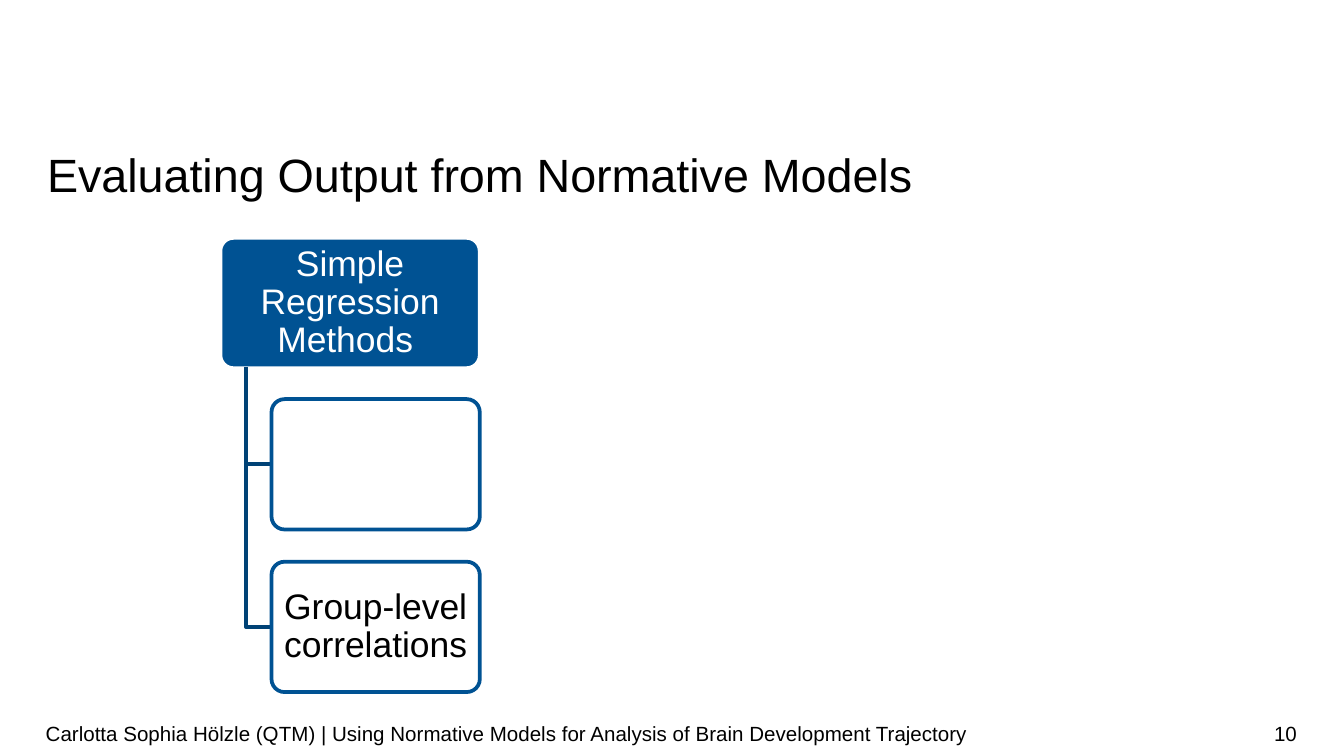
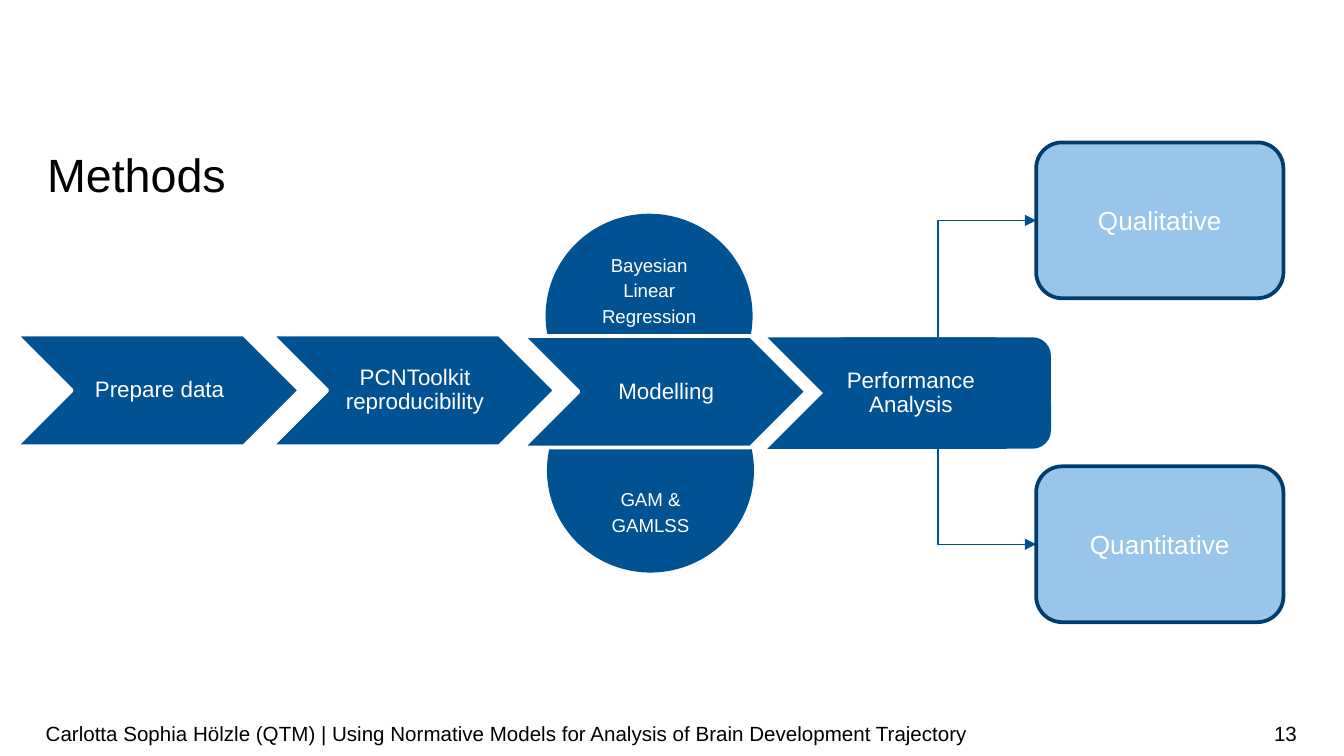
from pptx import Presentation
from pptx import util as u
from pptx.dml.color import RGBColor
from pptx.enum import shapes, text
from pptx.oxml import ns
from lxml import etree

BLUE, NAVY, EDGE, WIRE, SKY = "005293", "004276", "003D6D", "005090", "98C6EA"
WHITE, BLACK = "FFFFFF", "000000"
FONT = "Arial"
CREDIT = ("Carlotta Sophia Hölzle (QTM) | Using Normative Models "
          "for Analysis of Brain Development Trajectory")
KIND = shapes.MSO_SHAPE
LEFT, MID, RIGHT = text.PP_ALIGN.LEFT, text.PP_ALIGN.CENTER, text.PP_ALIGN.RIGHT
TOP, HALF, BASE = (text.MSO_ANCHOR.TOP, text.MSO_ANCHOR.MIDDLE,
                   text.MSO_ANCHOR.BOTTOM)
NODE_PAD = (0.04, 0.03, 0.04, 0.03)
STEP_PAD = (0.05, 0.02, 0.02, 0.02)


def tint(code):
    return RGBColor.from_string(code)


def inch(*nums):
    return [u.Inches(n) for n in nums]


def add_sub(node, tag, **attrs):
    return etree.SubElement(node, ns.qn(tag), **attrs)


def write(shape, words, size=12, color=WHITE, align=MID, anchor=HALF,
          pad=(0.1, 0.05, 0.1, 0.05), gap=None):
    frame = shape.text_frame
    frame.word_wrap = True
    frame.vertical_anchor = anchor
    (frame.margin_left, frame.margin_top,
     frame.margin_right, frame.margin_bottom) = inch(*pad)
    para = frame.paragraphs[0]
    para.alignment = align
    if gap:
        para.line_spacing = gap
    run = para.add_run()
    run.text = words
    run.font.name = FONT
    run.font.size = u.Pt(size)
    run.font.color.rgb = tint(color)


def label(slide, box, words, **style):
    write(slide.shapes.add_textbox(*inch(*box)), words, **style)


def paint(shape, fill=None, line=None, width=2):
    shape.shadow.inherit = False
    if fill:
        shape.fill.solid()
        shape.fill.fore_color.rgb = tint(fill)
    else:
        shape.fill.background()
    if line:
        shape.line.color.rgb = tint(line)
        shape.line.width = u.Pt(width)
    else:
        shape.line.fill.background()


def draw(slide, kind, box, fill, line=None, curve=None):
    shape = slide.shapes.add_shape(kind, *inch(*box))
    paint(shape, fill, line)
    if curve is not None:
        shape.adjustments[0] = curve
    return shape


def fade(shape, share):
    color = shape._element.spPr.find(ns.qn("a:solidFill"))[0]
    add_sub(color, "a:alpha", val=str(share * 1000))


def frame_page(deck, title, page):
    slide = deck.slides.add_slide(deck.slide_layouts[6])
    label(slide, (0.35, 1.06, 9.31, 0.42), title, size=25, color=BLACK,
          align=LEFT, anchor=TOP, pad=(0, 0, 0, 0), gap=u.Pt(32))
    foot = dict(size=11, color=BLACK, pad=(0, 0.05, 0, 0.05))
    label(slide, (7.41, 5.31, 2.24, 0.3), str(page), align=RIGHT, **foot)
    label(slide, (0.34, 5.31, 7.07, 0.3), CREDIT, align=LEFT, **foot)
    return slide


def node_text(slide, box, words, color):
    x, y, w, h = box
    label(slide, (x + 0.03, y + 0.03, w - 0.06, h - 0.06), words,
          size=19, color=color, pad=NODE_PAD, gap=0.9)


def branch(slide, x, y, turn, end):
    path = slide.shapes.build_freeform(*inch(x, y))
    path.add_line_segments([inch(x, turn), inch(end, turn)], close=False)
    paint(path.convert_to_shape(), line=NAVY)


def draw_tree(slide, box, root, leaves):
    x, y, w, h = box
    draw(slide, KIND.ROUNDED_RECTANGLE, box, BLUE, WHITE, 0.1)
    node_text(slide, box, root, WHITE)
    inset, pitch = 0.38, h + 0.24
    for i, words in enumerate(leaves, 1):
        leaf = (x + inset, y + i * pitch - 0.01, w - inset, h)
        branch(slide, x + inset / 2, y + h - 0.01, leaf[1] + h / 2, leaf[0])
        card = draw(slide, KIND.ROUNDED_RECTANGLE, leaf, WHITE, BLUE, 0.1)
        fade(card, 90)
        if words:
            node_text(slide, leaf, words, BLACK)


def draw_step(slide, box, words, line=WHITE):
    x, y, w, h = box
    draw(slide, KIND.CHEVRON, box, BLUE, line)
    label(slide, (x + 0.42, y, w * 0.6, h), words, pad=STEP_PAD, gap=0.9)


def draw_disc(slide, box, words, anchor):
    disc = draw(slide, KIND.OVAL, box, BLUE)
    write(disc, words, size=10, anchor=anchor, gap=1.14)


def elbow(slide, start, end):
    wire = slide.shapes.add_connector(shapes.MSO_CONNECTOR.ELBOW,
                                      *inch(*start, *end))
    wire.line.color.rgb = tint(WIRE)
    wire.line.width = u.Pt(0.75)
    props = wire._element.spPr
    props.find(ns.qn("a:prstGeom")).set("prst", "bentConnector2")
    add_sub(props.find(ns.qn("a:ln")), "a:headEnd", type="triangle")
    add_sub(props, "a:effectLst")


def draw_goal(slide, box, words, root):
    x, y, w, h = box
    elbow(slide, (x, y + h / 2), root)
    goal = draw(slide, KIND.ROUNDED_RECTANGLE, box, SKY, EDGE)
    write(goal, words, size=14)


def draw_flow(slide, box):
    x, y, w, h = box
    last = x + 5.59
    goal = x + 7.59
    draw_goal(slide, (goal, y - 1.43, 1.84, 1.16), "Qualitative",
              (x + 6.86, y + 0.02))
    draw_goal(slide, (goal, y + 0.98, 1.84, 1.16), "Quantitative",
              (x + 6.86, y + h + 0.02))
    draw(slide, KIND.ROUNDED_RECTANGLE,
         (last + 0.43, y + 0.02, w - 0.43, h), BLUE)
    draw_disc(slide, (x + 3.94, y - 0.9, 1.54, 1.52),
              "Bayesian Linear Regression", TOP)
    draw_disc(slide, (x + 3.95, y + 0.25, 1.54, 1.52), "GAM & GAMLSS", BASE)
    draw_step(slide, (x + 3.77, y + 0.01, w, h), "Modelling")
    for i, words in enumerate(["Prepare data", "PCNToolkit reproducibility"]):
        draw_step(slide, (x + i * 1.9, y, w, h), words)
    draw_step(slide, (last, y + 0.02, w, h), "Performance Analysis", None)


def main():
    deck = Presentation()
    deck.slide_width = u.Inches(10)
    deck.slide_height = deck.slide_width * 9 // 16
    tree = frame_page(deck, "Evaluating Output from Normative Models", 10)
    draw_tree(tree, (1.64, 1.77, 1.93, 0.97), "Simple Regression Methods ",
              ["", "Group-level correlations"])
    flow = frame_page(deck, "Methods", 13)
    draw_flow(flow, (0.12, 2.49, 2.11, 0.83))
    deck.save("out.pptx")


if __name__ == "__main__":
    main()
